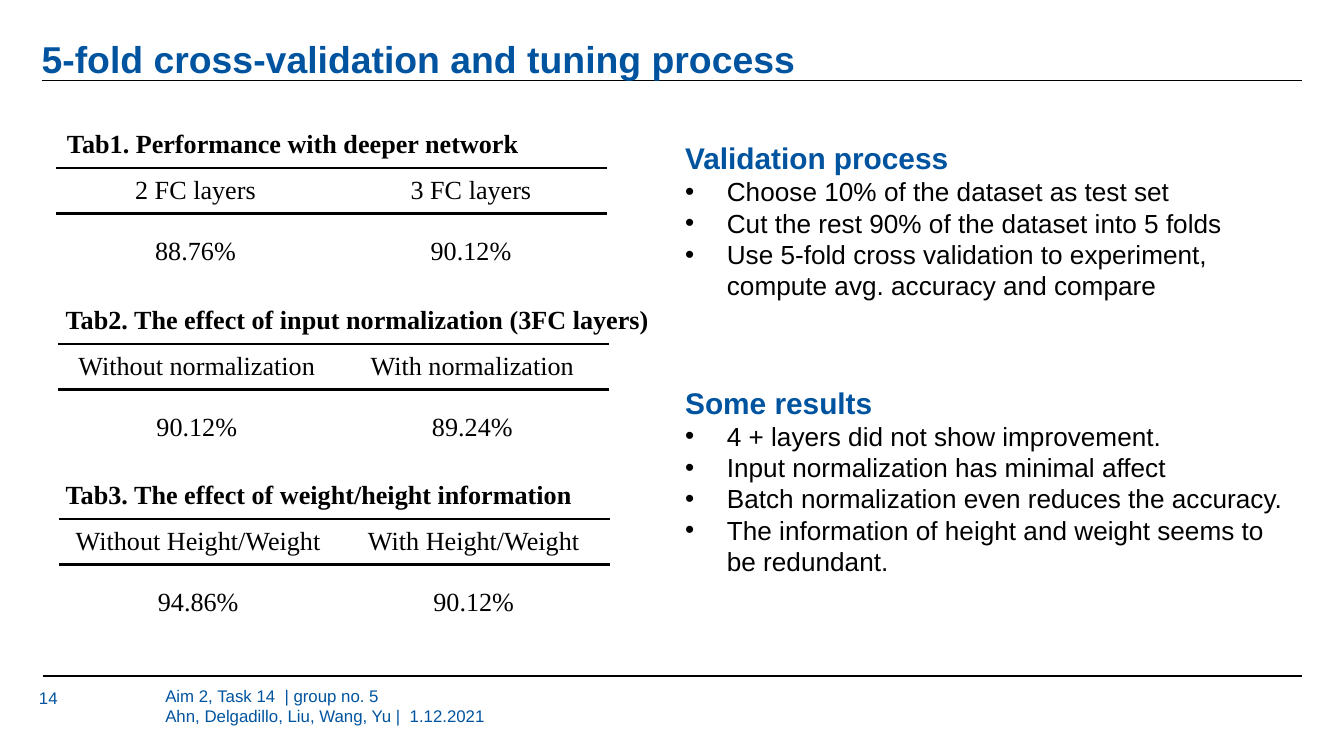
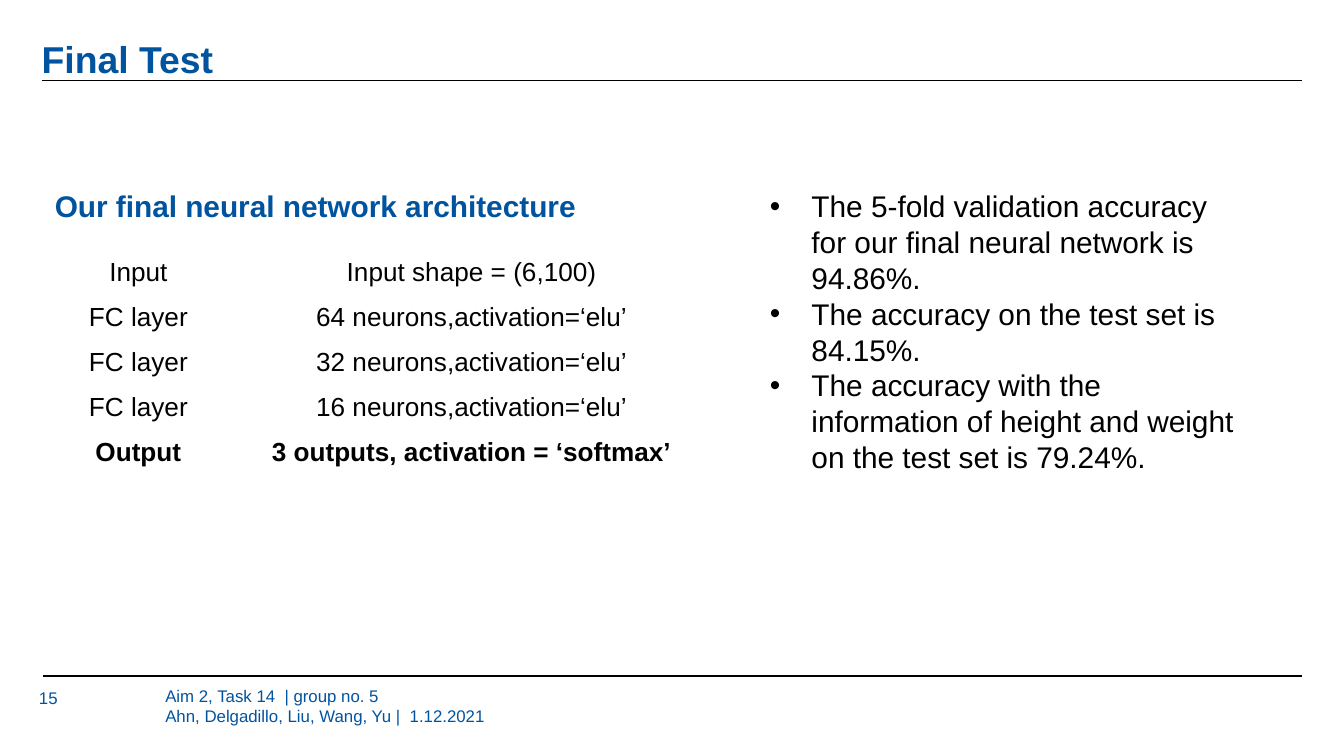
from dataclasses import dataclass

from lxml.etree import SubElement
from pptx import Presentation
from pptx.dml.color import RGBColor
from pptx.enum.shapes import MSO_CONNECTOR
from pptx.enum.text import MSO_ANCHOR, MSO_AUTO_SIZE, PP_ALIGN
from pptx.oxml import parse_xml
from pptx.oxml.ns import nsdecls, qn
from pptx.util import Inches, Pt


@dataclass(frozen=True)
class Theme:
    blue: str = "00549F"
    black: str = "000000"
    sans: str = "Arial"
    serif: str = "Times New Roman"
    title_size: int = 20
    heading_size: int = 16
    body_size: int = 14
    footer_size: int = 9
    rule_width: float = 0.75
    table_rule_width: float = 1.5
    plain_table_style: str = "{2D5ABB26-0587-4C30-8999-92F81FD0307C}"


THEME = Theme()
FOOTER = "Aim 2, Task 14  | group no. 5\nAhn, Delgadillo, Liu, Wang, Yu |  1.12.2021"


@dataclass(frozen=True)
class Box:
    left: float
    top: float
    width: float
    height: float

    def lengths(self):
        return [Inches(value) for value in (self.left, self.top, self.width, self.height)]


@dataclass(frozen=True)
class Line:
    text: str
    size: int = THEME.body_size
    color: str = THEME.black
    font: str = THEME.sans
    bold: bool = False
    bullet: bool = False


@dataclass(frozen=True)
class ResultTable:
    caption: str
    caption_left: float
    left: float
    top: float
    rows: tuple


RESULT_TABLES = (
    ResultTable(
        "Tab1. Performance with deeper network", 0.4, 0.42, 1.25,
        (("2 FC layers", "3 FC layers"), ("88.76%", "90.12%")),
    ),
    ResultTable(
        "Tab2. The effect of input normalization (3FC layers)", 0.39, 0.43, 2.56,
        (("Without normalization", "With normalization"), ("90.12%", "89.24%")),
    ),
    ResultTable(
        "Tab3. The effect of weight/height information", 0.39, 0.44, 3.86,
        (("Without Height/Weight", "With Height/Weight"), ("94.86%", "90.12%")),
    ),
)

ARCHITECTURE = (
    ("Input", "Input shape = (6,100)"),
    *(("FC layer", f"{neurons} neurons,activation=‘elu’") for neurons in (64, 32, 16)),
    ("Output", "3 outputs, activation = ‘softmax’"),
)


def write_text(paragraph, text: str, *, size=THEME.body_size, color=THEME.black,
               font=THEME.sans, bold=False, align=PP_ALIGN.LEFT) -> None:
    paragraph.alignment = align
    for index, part in enumerate(text.split("\n")):
        if index:
            paragraph.add_line_break()
            SubElement(paragraph._p[-1], qn("a:rPr")).set("sz", str(size * 100))
        run = paragraph.add_run()
        run.text = part
        run.font.name = font
        run.font.size = Pt(size)
        run.font.bold = bold
        run.font.color.rgb = RGBColor.from_string(color)


def add_bullet(paragraph) -> None:
    properties = paragraph._p.get_or_add_pPr()
    indent = Inches(0.31)
    properties.set("marL", str(indent))
    properties.set("indent", str(-indent))
    bullet_color = SubElement(properties, qn("a:buClr"))
    SubElement(bullet_color, qn("a:srgbClr")).set("val", THEME.black)
    SubElement(properties, qn("a:buFont")).set("typeface", THEME.sans)
    SubElement(properties, qn("a:buChar")).set("char", "•")


def add_text(slide, box: Box, lines: list[Line], *, padded=True, anchor=MSO_ANCHOR.TOP) -> None:
    frame = slide.shapes.add_textbox(*box.lengths()).text_frame
    frame.word_wrap = True
    frame.vertical_anchor = anchor
    if padded:
        frame.auto_size = MSO_AUTO_SIZE.SHAPE_TO_FIT_TEXT
    else:
        frame.margin_left = frame.margin_right = frame.margin_top = frame.margin_bottom = 0
    for index, line in enumerate(lines):
        paragraph = frame.add_paragraph() if index else frame.paragraphs[0]
        write_text(paragraph, line.text, size=line.size, color=line.color,
                   font=line.font, bold=line.bold)
        if line.bullet:
            add_bullet(paragraph)


def add_rule(slide, left: float, top: float, right: float) -> None:
    rule = slide.shapes.add_connector(
        MSO_CONNECTOR.STRAIGHT, Inches(left), Inches(top), Inches(right), Inches(top)
    )
    rule.line.color.rgb = RGBColor.from_string(THEME.black)
    rule.line.width = Pt(THEME.rule_width)
    SubElement(rule._element.spPr, qn("a:effectLst"))


def add_top_rule(cell) -> None:
    border = parse_xml(
        f'<a:lnT {nsdecls("a")} w="{Pt(THEME.table_rule_width)}"><a:solidFill>'
        f'<a:srgbClr val="{THEME.black}"/></a:solidFill></a:lnT>'
    )
    cell._tc.get_or_add_tcPr().insert(0, border)


def add_table(slide, box: Box, rows: tuple, widths: tuple, heights: tuple, *,
              font=THEME.sans, ruled=False, bold_last=False) -> None:
    table = slide.shapes.add_table(len(rows), len(widths), *box.lengths()).table
    table.first_row = table.horz_banding = False
    table._tbl.tblPr.find(qn("a:tableStyleId")).text = THEME.plain_table_style
    for column, width in zip(table.columns, widths):
        column.width = Inches(width)
    for row_index, (values, height) in enumerate(zip(rows, heights)):
        table.rows[row_index].height = Inches(height)
        bold = bold_last and row_index == len(rows) - 1
        for column_index, value in enumerate(values):
            cell = table.cell(row_index, column_index)
            cell.fill.background()
            write_text(cell.text_frame.paragraphs[0], value, font=font, bold=bold,
                       align=PP_ALIGN.CENTER)
            if ruled:
                cell.vertical_anchor = MSO_ANCHOR.MIDDLE
                cell.margin_left = cell.margin_right = Inches(0.07)
                cell.margin_top = cell.margin_bottom = 0
                add_top_rule(cell)


def heading(text: str) -> Line:
    return Line(text, size=THEME.heading_size, color=THEME.blue, bold=True)


def bullets(*texts: str, size: int = THEME.body_size) -> list[Line]:
    return [Line(text, size=size, bullet=True) for text in texts]


def footer_line(text: str) -> Line:
    return Line(text, size=THEME.footer_size, color=THEME.blue)


def add_base_slide(presentation, title: str, number: int):
    slide = presentation.slides.add_slide(presentation.slide_layouts[6])
    add_rule(slide, 0.31, 0.6, 9.69)
    add_rule(slide, 0.32, 5.03, 9.69)
    add_text(slide, Box(0.29, 5.12, 0.8, 0.43), [footer_line(str(number))], padded=False)
    add_text(slide, Box(1.23, 5.1, 4.65, 0.47), [footer_line(FOOTER)], padded=False)
    add_text(slide, Box(0.31, 0.15, 9.37, 0.45),
             [Line(title, size=THEME.title_size, color=THEME.blue, bold=True)],
             padded=False, anchor=MSO_ANCHOR.BOTTOM)
    return slide


def build_validation_slide(presentation) -> None:
    slide = add_base_slide(presentation, "5-fold cross-validation and tuning process", 14)
    for result in RESULT_TABLES:
        add_text(slide, Box(result.caption_left, result.top - 0.35, 6.38, 0.34),
                 [Line(result.caption, font=THEME.serif, bold=True)])
        add_table(slide, Box(result.left, result.top, 4.1, 0.91), result.rows,
                  (2.07, 2.03), (0.34, 0.57), font=THEME.serif, ruled=True)
    add_text(slide, Box(5, 0.99, 4.25, 1.31), [
        heading("Validation process"),
        *bullets(
            "Choose 10% of the dataset as test set",
            "Cut the rest 90% of the dataset into 5 folds",
            "Use 5-fold cross validation to experiment, compute avg. accuracy and compare",
        ),
    ])
    add_text(slide, Box(5, 2.81, 4.75, 1.55), [
        heading("Some results"),
        *bullets(
            "4 + layers did not show improvement.",
            "Input normalization has minimal affect",
            "Batch normalization even reduces the accuracy.",
            "The information of height and weight seems to be redundant.",
        ),
    ])


def build_final_test_slide(presentation) -> None:
    slide = add_base_slide(presentation, "Final Test", 15)
    add_table(slide, Box(0.31, 1.87, 4.96, 1.67), ARCHITECTURE, (1.44, 3.52),
              (0.24,) * len(ARCHITECTURE), bold_last=True)
    add_text(slide, Box(0.31, 1.35, 4.96, 0.37),
             [heading("Our final neural network architecture")])
    add_text(slide, Box(5.63, 1.35, 3.7, 2.56), bullets(
        "The 5-fold validation accuracy for our final neural network is 94.86%.",
        "The accuracy on the test set is 84.15%.",
        "The accuracy with the information of height and weight on the test set is 79.24%.",
        size=THEME.heading_size,
    ))


def main() -> None:
    presentation = Presentation()
    presentation.slide_width = Inches(10)
    presentation.slide_height = presentation.slide_width * 9 // 16
    build_validation_slide(presentation)
    build_final_test_slide(presentation)
    presentation.save("out.pptx")


if __name__ == "__main__":
    main()
